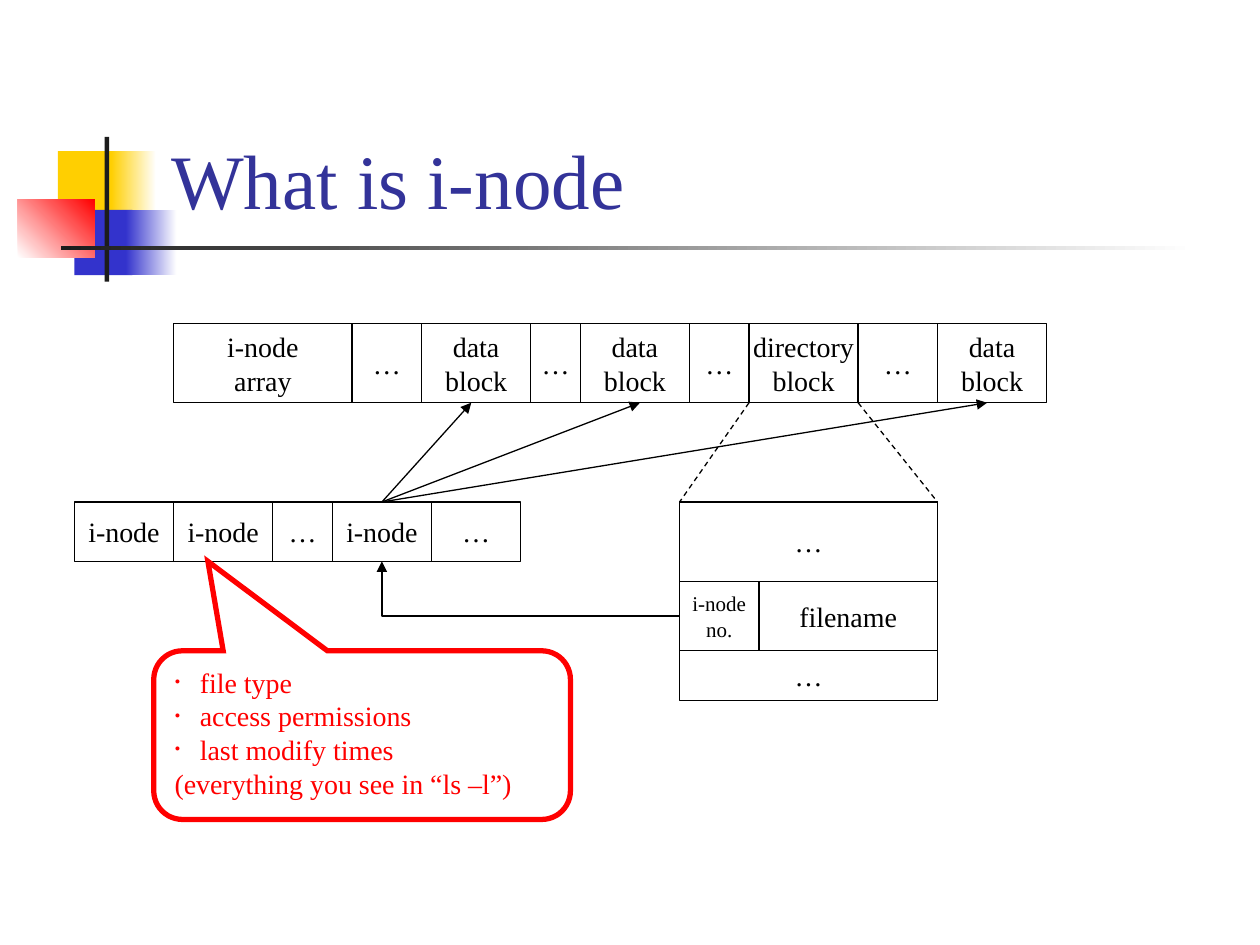
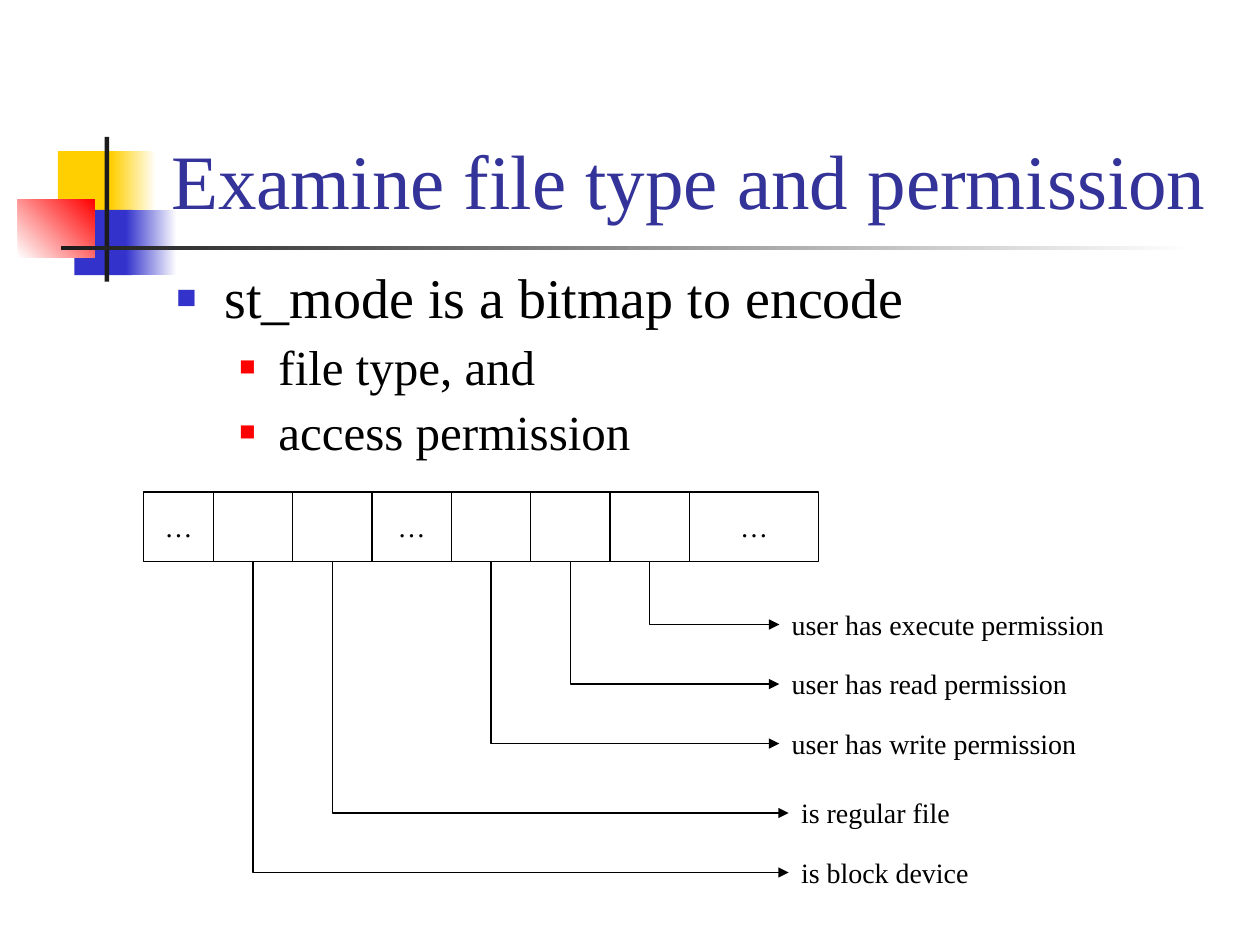
from itertools import accumulate

from lxml import etree
from pptx import Presentation
from pptx.dml.color import RGBColor
from pptx.enum.dml import MSO_LINE
from pptx.enum.shapes import MSO_CONNECTOR as LINK, MSO_SHAPE as SHAPE
from pptx.enum.text import MSO_ANCHOR as ANCHOR, MSO_AUTO_SIZE as AUTO, PP_ALIGN as ALIGN
from pptx.oxml.ns import qn
from pptx.util import Cm, Pt

FONT = "Times New Roman"
COLOURS = {
    "ink": "000000",
    "title": "333399",
    "yellow": "FFCF01",
    "blue": "3333CC",
    "red": "FF0000",
    "bar": "1C1C1C",
    "white": "FFFFFF",
}
THIN = 0.74
ELLIPSIS = "…"

# left, top, width, height in cm, gradient start, gradient end (or None), angle
MASTER_BANDS = [
    (1.17, 3.05, 1.22, 1.32, "yellow", None, 0),
    (2.24, 3.05, 0.91, 1.32, "yellow", "white", 0),
    (1.5, 4.23, 1.17, 1.32, "blue", None, 0),
    (2.54, 4.23, 1.02, 1.32, "blue", "white", 0),
    (0.36, 4.02, 1.55, 1.17, "white", "red", 45),
    (2.11, 2.76, 0.09, 2.92, "bar", None, 0),
    (1.23, 4.95, 22.86, 0.09, "bar", "white", 0),
]


def rgb(name):
    """Look up a colour by its role."""
    return RGBColor.from_string(COLOURS[name])


def add_xml(parent, tag, **attributes):
    """Append a DrawingML child with the given attributes."""
    return etree.SubElement(parent, qn(tag), attributes)


def set_font(paragraph, size, colour="ink"):
    """Give a whole paragraph its font."""
    font = paragraph.font
    font.name, font.size = FONT, Pt(size)
    font.color.rgb = rgb(colour)


def hang(paragraph, margin, indent):
    """Set a hanging indent, in cm."""
    properties = paragraph._p.get_or_add_pPr()
    properties.set("marL", str(Cm(margin)))
    properties.set("indent", str(-Cm(indent)))
    return properties


def add_bullet(properties, mark, colour, percent):
    """Add a coloured bullet; call it after spacing and before the font."""
    add_xml(add_xml(properties, "a:buClr"), "a:srgbClr", val=COLOURS[colour])
    add_xml(properties, "a:buSzPct", val=str(percent * 1000))
    add_xml(properties, "a:buFont", typeface=FONT)
    add_xml(properties, "a:buChar", char=mark)


def place(shape, left, top, width, height):
    """Move and size a placeholder, in cm."""
    shape.left, shape.top = Cm(left), Cm(top)
    shape.width, shape.height = Cm(width), Cm(height)


def decorate_master(prs, slide):
    """Draw the bands on a slide and hand them over to the slide master."""
    master_tree = prs.slide_master.shapes.element
    for order, (left, top, width, height, start, end, angle) in enumerate(MASTER_BANDS):
        band = slide.shapes.add_shape(SHAPE.RECTANGLE, Cm(left), Cm(top), Cm(width), Cm(height))
        band.shadow.inherit = False
        band.line.fill.background()
        if end:
            band.fill.gradient()
            band.fill.gradient_angle = angle
            for stop, colour in zip(band.fill.gradient_stops, (start, end)):
                stop.color.rgb = rgb(colour)
        else:
            band.fill.solid()
            band.fill.fore_color.rgb = rgb(start)
        band.element.nvSpPr.cNvPr.set("id", str(100 + order))
        master_tree.insert(2 + order, band.element)


def add_titled_slide(prs, layout, text):
    """Add a slide with its title in the shared style."""
    slide = prs.slides.add_slide(prs.slide_layouts[layout])
    title = slide.shapes.title
    place(title, 3.2, 0.6, 21.64, 4.06)
    frame = title.text_frame
    frame.text = text
    frame.auto_size = AUTO.NONE
    frame.vertical_anchor = ANCHOR.BOTTOM
    frame.paragraphs[0].alignment = ALIGN.LEFT
    set_font(frame.paragraphs[0], 44, "title")
    return slide


def add_outline(canvas, preset, box, colour="ink", weight=THIN):
    """Add an unfilled preset shape with a coloured outline."""
    shape = canvas.add_shape(preset, *map(Cm, box))
    shape.shadow.inherit = False
    shape.fill.background()
    shape.line.color.rgb = rgb(colour)
    shape.line.width = Pt(weight)
    return shape


def add_cell(canvas, box, text, size=16):
    """Add one box of a storage diagram."""
    frame = add_outline(canvas, SHAPE.RECTANGLE, box).text_frame
    if not text:
        return
    frame.text = text
    frame.word_wrap = False
    frame.vertical_anchor = ANCHOR.MIDDLE
    for paragraph in frame.paragraphs:
        paragraph.alignment = ALIGN.CENTER
        set_font(paragraph, size)


def add_row(canvas, left, top, height, cells):
    """Add touching cells given as (width, text); return their edges in cm."""
    edges = list(accumulate((width for width, _ in cells), initial=left))
    for edge, (width, text) in zip(edges, cells):
        add_cell(canvas, (edge, top, width, height), text)
    return edges


def centre(edges, index):
    """Return the middle of one cell in a row."""
    return (edges[index] + edges[index + 1]) / 2


def add_link(canvas, start, end, kind=LINK.STRAIGHT, arrow=True, dashed=False):
    """Join two points; an elbow runs sideways first and turns once."""
    link = canvas.add_connector(kind, *map(Cm, (*start, *end)))
    properties = link.element.spPr
    if kind == LINK.ELBOW:
        properties.find(qn("a:prstGeom")).set("prst", "bentConnector2")
    link.line.color.rgb = rgb("ink")
    link.line.width = Pt(THIN)
    if dashed:
        link.line.dash_style = MSO_LINE.DASH
    if arrow:
        add_xml(properties.find(qn("a:ln")), "a:tailEnd", type="triangle")
    add_xml(properties, "a:effectLst")
    return link


def add_drop(canvas, start, end):
    """Add an arrow that goes down first, then right: a turned elbow."""
    middle_x, middle_y = (start[0] + end[0]) / 2, (start[1] + end[1]) / 2
    half_run, half_fall = (end[0] - start[0]) / 2, (end[1] - start[1]) / 2
    link = add_link(canvas, (middle_x + half_fall, middle_y - half_run),
                    (middle_x - half_fall, middle_y + half_run), LINK.ELBOW)
    link.element.spPr.find(qn("a:xfrm")).set("rot", str(270 * 60000))


def add_label(canvas, left, middle, width, text):
    """Add a one-line label centred on the height of its arrow."""
    height = 0.94
    label = canvas.add_textbox(Cm(left), Cm(middle - height / 2), Cm(width), Cm(height))
    frame = label.text_frame
    frame.text = text
    frame.word_wrap = False
    frame.auto_size = AUTO.SHAPE_TO_FIT_TEXT
    set_font(frame.paragraphs[0], 16)


def add_callout(canvas, box, bullets, remark):
    """Add the red speech balloon with bullets and a closing remark."""
    balloon = add_outline(canvas, SHAPE.ROUNDED_RECTANGULAR_CALLOUT, box, "red", 3)
    add_xml(balloon.element.spPr.find(qn("a:ln")), "a:miter", lim="800000")
    for index, value in enumerate((-0.37, -1.03, 0.17)):
        balloon.adjustments[index] = value
    frame = balloon.text_frame
    frame.text = "\n".join([*bullets, remark])
    frame.word_wrap = True
    frame.vertical_anchor = ANCHOR.TOP
    for index, paragraph in enumerate(frame.paragraphs):
        paragraph.alignment = ALIGN.LEFT
        properties = hang(paragraph, 0.51, 0.51)
        if index < len(bullets):
            add_bullet(properties, "•", "red", 60)
        set_font(paragraph, 16, "red")


def fill_body(body, items):
    """Fill the body placeholder with (level, text) items."""
    # margin, indent, space before, bullet colour, bullet percent, size
    levels = [(0.97, 0.97, 8, "blue", 60, 32), (2.06, 0.79, 7, "red", 55, 28)]
    place(body, 3.3, 5.32, 21.59, 4.19)
    frame = body.text_frame
    frame.text = "\n".join(text for _, text in items)
    frame.auto_size = AUTO.NONE
    for paragraph, (level, _) in zip(frame.paragraphs, items):
        margin, indent, before, colour, percent, size = levels[level]
        paragraph.level = level
        paragraph.line_spacing = 0.9
        paragraph.space_before = Pt(before)
        add_bullet(hang(paragraph, margin, indent), "■", colour, percent)
        set_font(paragraph, size)


def draw_inode_diagram(slide):
    """Show the disk, its i-nodes and a directory block."""
    canvas = slide.shapes.add_group_shape().shapes
    disk_top, disk_height = 6.52, 1.6
    disk_bottom = disk_top + disk_height
    detail_top = disk_bottom + 2
    data = (2.2, "data\nblock")
    disk = add_row(canvas, 3.5, disk_top, disk_height, [
        (3.6, "i-node\narray"), (1.4, ELLIPSIS), data, (1, ELLIPSIS), data,
        (1.2, ELLIPSIS), (2.2, "directory\nblock"), (1.6, ELLIPSIS), data])

    inode, inode_height = (2, "i-node"), 1.2
    inodes = add_row(canvas, 1.5, detail_top, inode_height,
                     [inode, inode, (1.2, ELLIPSIS), inode, (1.8, ELLIPSIS)])

    left, width = 13.7, 5.2
    entry_top, entry_height = detail_top + 1.6, 1.4
    add_cell(canvas, (left, entry_top, 1.6, entry_height), "i-node\nno.", 12)
    add_cell(canvas, (left + 1.6, entry_top, 3.6, entry_height), "filename")
    add_cell(canvas, (left, detail_top, width, 1.6), ELLIPSIS)
    add_cell(canvas, (left, entry_top + entry_height, width, 1), ELLIPSIS)

    for disk_edge, detail_edge in zip(disk[6:8], (left, left + width)):
        add_link(canvas, (disk_edge, disk_bottom), (detail_edge, detail_top),
                 arrow=False, dashed=True)
    source = centre(inodes, 3)
    add_link(canvas, (left, entry_top + entry_height / 2),
             (source, detail_top + inode_height), LINK.ELBOW)
    for block in (9.5, 12.9, 19.9):
        add_link(canvas, (source, detail_top), (block, disk_bottom))

    add_callout(canvas, (3.1, entry_top + entry_height, 8.4, 3.4),
                ["file type", "access permissions", "last modify times"],
                "(everything you see in “ls –l”)")


def draw_bitmap_diagram(slide):
    """Show the bits of st_mode and what they stand for."""
    canvas = slide.shapes.add_group_shape().shapes
    top, height = 9.92, 1.4
    bit = (1.6, "")
    bits = add_row(canvas, 2.9, top, height, [
        (1.4, ELLIPSIS), bit, bit, (1.6, ELLIPSIS), bit, bit, bit, (2.6, ELLIPSIS)])
    # bit, label left, arrow height, label width, meaning
    meanings = [
        (6, 15.71, 12.59, 7, "user has execute permission"),
        (5, 15.71, 13.79, 6.25, "user has read permission"),
        (4, 15.71, 14.99, 6.45, "user has write permission"),
        (2, 15.9, 16.39, 3.8, "is regular file"),
        (1, 15.9, 17.59, 4.1, "is block device"),
    ]
    for index, left, middle, width, meaning in meanings:
        add_label(canvas, left, middle, width, meaning)
        add_drop(canvas, (centre(bits, index), top + height), (left, middle))


def main():
    """Build both slides."""
    prs = Presentation()
    prs.slide_width, prs.slide_height = Cm(25.4), Cm(19.05)

    inode_slide = add_titled_slide(prs, 5, "What is i-node")
    decorate_master(prs, inode_slide)
    draw_inode_diagram(inode_slide)

    mode_slide = add_titled_slide(prs, 1, "Examine file type and permission")
    fill_body(mode_slide.placeholders[1], [
        (0, "st_mode is a bitmap to encode"),
        (1, "file type, and"),
        (1, "access permission"),
    ])
    draw_bitmap_diagram(mode_slide)

    prs.save("out.pptx")


main()
